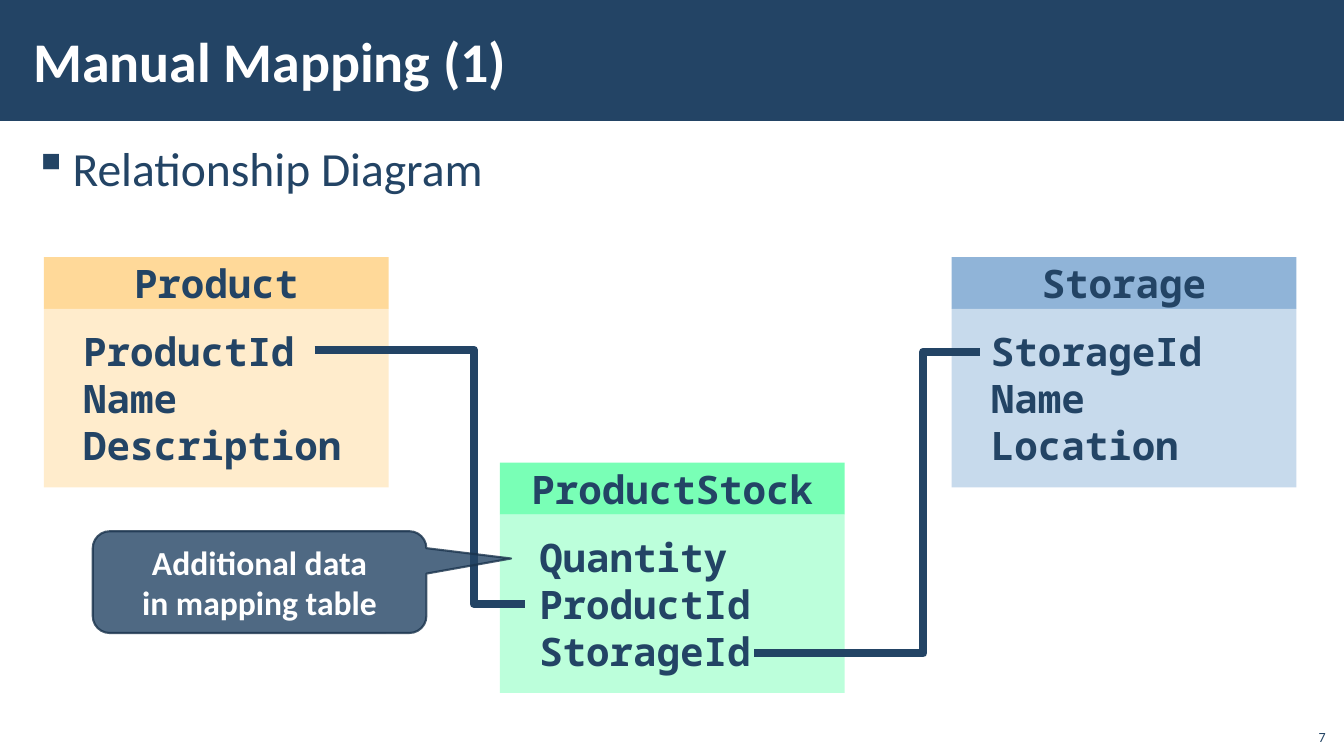
import dataclasses

import lxml.etree
import pptx
import pptx.dml.color
import pptx.enum.shapes
import pptx.enum.text
import pptx.oxml.ns
import pptx.util

SHAPE = pptx.enum.shapes.MSO_SHAPE
ALIGN = pptx.enum.text.PP_ALIGN
ANCHOR = pptx.enum.text.MSO_ANCHOR
qn = pptx.oxml.ns.qn


@dataclasses.dataclass(frozen=True)
class Theme:
    navy: str = "234465"
    outline: str = "1A334C"
    white: str = "FFFFFF"
    product: tuple = ("FFD999", "FFECCC")
    storage: tuple = ("90B4D8", "C7DAEC")
    stock: tuple = ("79FFB6", "BCFFDB")
    body_font: str = "Calibri"
    code_font: str = "Noto Sans Mono"
    title_size: int = 40
    bullet_size: int = 34
    code_size: int = 28
    note_size: int = 24
    number_size: int = 10


THEME = Theme()
CELL = 0.1
COLS, ROWS = 133.33, 75
TABLE_COLS, HEAD_ROWS, FIELD_ROWS = 34.2, 5.15, 17.7


def grid(*cells):
    return [pptx.util.Inches(n * CELL) for n in cells]


def rgb(value):
    return pptx.dml.color.RGBColor.from_string(value)


def set_all(target, values):
    for name, value in values.items():
        setattr(target, name, value)


def write(s, lines, size, color=THEME.navy, font=THEME.body_font, bold=True,
          align=ALIGN.LEFT, anchor=ANCHOR.MIDDLE, inset=(1, 0.5)):
    tf = s.text_frame
    side, edge = grid(*inset)
    set_all(tf, {"word_wrap": True, "vertical_anchor": anchor,
                 "margin_left": side, "margin_right": side,
                 "margin_top": edge, "margin_bottom": edge})
    for i, line in enumerate(lines):
        p = tf.add_paragraph() if i else tf.paragraphs[0]
        p.alignment = align
        r = p.add_run()
        r.text = line
        set_all(r.font, {"name": font, "size": pptx.util.Pt(size), "bold": bold})
        r.font.color.rgb = rgb(color)
    return tf


def add_text(slide, box, lines, size, **style):
    return write(slide.shapes.add_textbox(*grid(*box)), lines, size, **style)


def add_block(slide, box, fill, kind=SHAPE.RECTANGLE):
    s = slide.shapes.add_shape(kind, *grid(*box))
    s.shadow.inherit = False
    s.fill.solid()
    s.fill.fore_color.rgb = rgb(fill)
    s.line.fill.background()
    return s


def add_bullet(slide, box, text):
    tf = add_text(slide, box, [text], THEME.bullet_size, bold=False,
                  anchor=ANCHOR.TOP, inset=(1.2, 0.4))
    p = tf.paragraphs[0]
    set_all(p, {"line_spacing": 1.05, "space_before": pptx.util.Pt(6),
                "space_after": pptx.util.Pt(6)})
    pPr = p._p.get_or_add_pPr()
    indent = grid(3.9)[0]
    pPr.set("marL", str(indent))
    pPr.set("indent", str(-indent))
    lxml.etree.SubElement(pPr, qn("a:buChar"), char="▪")


def add_entity(slide, col, row, name, fields, fills):
    head = add_block(slide, (col, row, TABLE_COLS, HEAD_ROWS), fills[0])
    write(head, [name], THEME.code_size, font=THEME.code_font, align=ALIGN.CENTER)
    body = add_block(slide, (col, row + HEAD_ROWS, TABLE_COLS, FIELD_ROWS), fills[1])
    write(body, fields, THEME.code_size, font=THEME.code_font, inset=(3.9, 0.5))


def add_relation(slide, start, bend_col, end):
    s = slide.shapes.add_connector(pptx.enum.shapes.MSO_CONNECTOR.ELBOW,
                                   *grid(*start, *end))
    s.line.width = pptx.util.Pt(6)
    s.line.color.rgb = rgb(THEME.navy)
    spPr = s._element.spPr
    lxml.etree.SubElement(spPr, qn("a:effectLst"))
    bend = round((bend_col - start[0]) / (end[0] - start[0]) * 100000)
    guides = spPr.find(qn("a:prstGeom")).get_or_add_avLst()
    lxml.etree.SubElement(guides, qn("a:gd"), name="adj1", fmla=f"val {bend}")


def add_callout(slide, box, lines, tip):
    s = add_block(slide, box, THEME.navy, SHAPE.ROUNDED_RECTANGULAR_CALLOUT)
    s.line.width = pptx.util.Pt(1.5)
    s.line.color.rgb = rgb(THEME.outline)
    for i, share in enumerate((*tip, 0.167)):
        s.adjustments[i] = share
    for color in s._element.spPr.iter(qn("a:srgbClr")):
        lxml.etree.SubElement(color, qn("a:alpha"), val="80000")
    write(s, lines, THEME.note_size, color=THEME.white, align=ALIGN.CENTER)


def main():
    prs = pptx.Presentation()
    prs.slide_width, prs.slide_height = grid(COLS, ROWS)
    slide = prs.slides.add_slide(prs.slide_layouts[6])

    add_block(slide, (0, 0, COLS, 12), THEME.navy)
    add_bullet(slide, (2.1, 13.1, 129.2, 60.5), "Relationship Diagram")
    add_text(slide, (2.1, 1.1, 106.3, 9.7), ["Manual Mapping (1)"],
             THEME.title_size, color=THEME.white, inset=(1.2, 0.4))

    entities = (
        (4.35, 25.5, "Product", ["ProductId", "Name", "Description"], THEME.product),
        (94.4, 25.5, "Storage", ["StorageId", "Name", "Location"], THEME.storage),
        (49.6, 45.9, "ProductStock", ["Quantity", "ProductId", "StorageId"], THEME.stock),
    )
    for entity in entities:
        add_entity(slide, *entity)

    add_relation(slide, (31.2, 34.7), 47, (52.1, 59.9))
    add_relation(slide, (97.2, 34.9), 91.6, (74.8, 64.8))
    add_callout(slide, (9.2, 52.7, 33.1, 10.1),
                ["Additional data", "in mapping table"], (0.754, -0.232))
    add_text(slide, (128.5, 71.2, 4, 3.2), ["7"], THEME.number_size, bold=False,
             align=ALIGN.RIGHT, anchor=ANCHOR.BOTTOM)
    prs.save("out.pptx")


if __name__ == "__main__":
    main()
